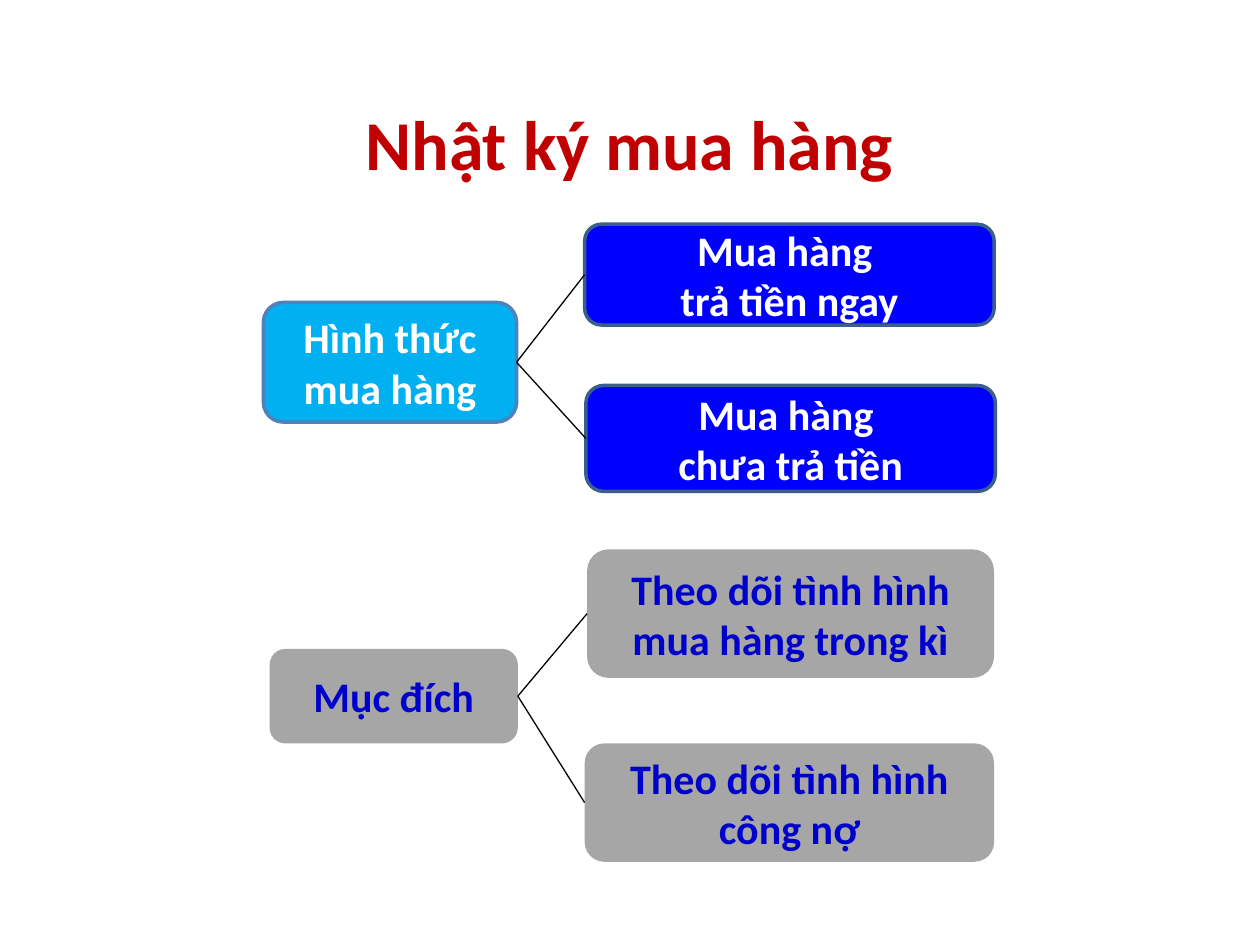
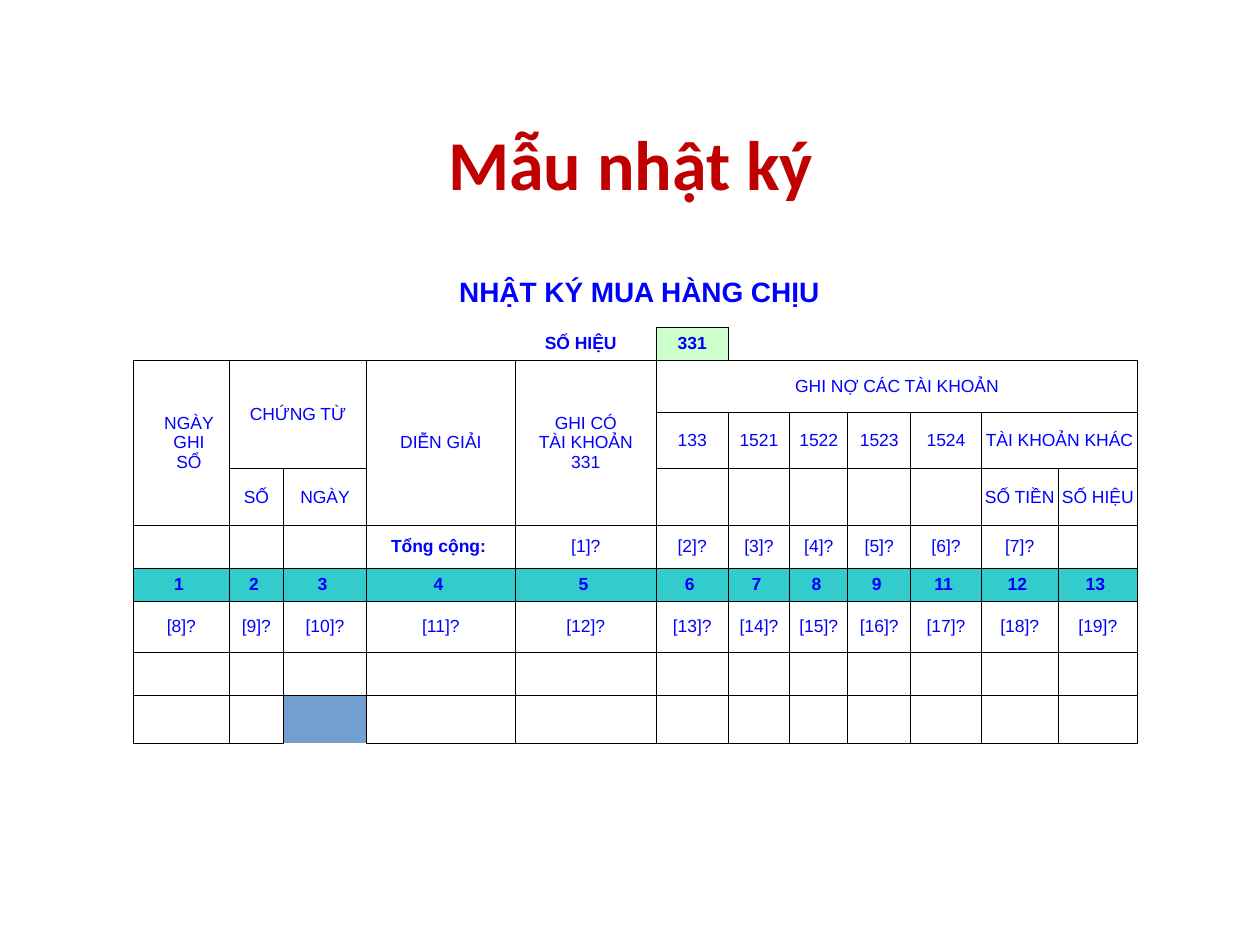
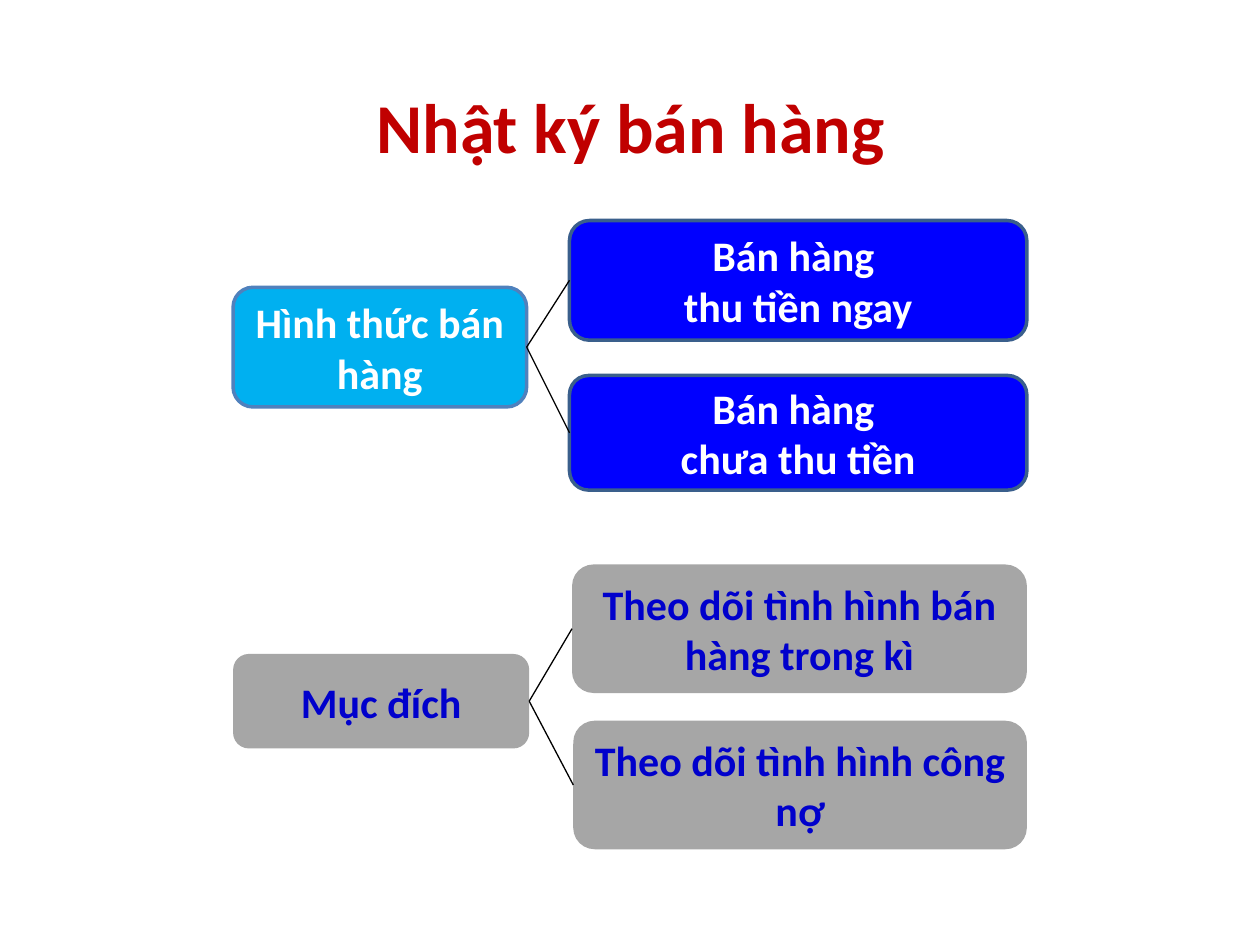
from lxml import etree
from pptx import Presentation
from pptx.dml.color import RGBColor
from pptx.enum import shapes, text
from pptx.oxml import ns
from pptx.util import Inches, Pt

RED = RGBColor(0xC0, 0x00, 0x00)
WHITE = RGBColor(0xFF, 0xFF, 0xFF)
BLACK = RGBColor(0x00, 0x00, 0x00)
BLUE = RGBColor(0x00, 0x00, 0xFF)
NAVY = RGBColor(0x00, 0x00, 0xCC)
SKY = RGBColor(0x00, 0xB0, 0xF0)
GRAY = RGBColor(0xA6, 0xA6, 0xA6)
SKY_EDGE = RGBColor(0x4F, 0x81, 0xBD)
BLUE_EDGE = RGBColor(0x3A, 0x5F, 0x8C)
GREEN = RGBColor(0xCC, 0xFF, 0xCC)
TEAL = RGBColor(0x33, 0xCC, 0xCC)

# Box styles: fill, outline, font colour
ROOT = (SKY, SKY_EDGE, WHITE)
METHOD = (BLUE, BLUE_EDGE, WHITE)
PURPOSE = (GRAY, None, NAVY)

presentation = Presentation()
presentation.slide_width = Inches(10)
presentation.slide_height = Inches(7.5)


def style_text(text_frame, font_name, size, bold, color):
    for paragraph in text_frame.paragraphs:
        paragraph.alignment = text.PP_ALIGN.CENTER
        for run in paragraph.runs:
            run.font.name = font_name
            run.font.size = Pt(size)
            run.font.bold = bold
            run.font.color.rgb = color


def add_box(slide, place, words, style):
    fill, edge, font_color = style
    shape = slide.shapes.add_shape(shapes.MSO_SHAPE.ROUNDED_RECTANGLE, *map(Inches, place))
    shape.shadow.inherit = False
    shape.fill.solid()
    shape.fill.fore_color.rgb = fill
    if edge:
        shape.line.color.rgb = edge
        shape.line.width = Pt(2)
    else:
        shape.line.fill.background()
    shape.text_frame.text = words
    shape.text_frame.vertical_anchor = text.MSO_ANCHOR.MIDDLE
    style_text(shape.text_frame, "Calibri", 24, True, font_color)
    return shape


# Slides with their titles
TITLES = [
    ("Nhật ký mua hàng", (1.06, 0.64, 7.87, 1.06)),
    ("Mẫu nhật ký", (0.28, 0.8, 9.45, 1.06)),
    ("Nhật ký bán hàng", (0.28, 0.51, 9.45, 1.06)),
]
slides = []
for words, place in TITLES:
    slide = presentation.slides.add_slide(presentation.slide_layouts[5])
    title = slide.shapes.title
    title.left, title.top, title.width, title.height = map(Inches, place)
    frame = title.text_frame
    frame.text = words
    frame.word_wrap = True
    frame.auto_size = text.MSO_AUTO_SIZE.NONE
    frame.vertical_anchor = text.MSO_ANCHOR.MIDDLE
    frame.margin_left = frame.margin_right = Inches(0.04)
    frame.margin_top = frame.margin_bottom = Inches(0.04)
    frame.paragraphs[0].line_spacing = 0.9
    style_text(frame, "Calibri", 40, True, RED)
    slides.append(slide)
purchase_slide, journal_slide, sales_slide = slides

# Trees: slide, root box, root style, branch style, branch boxes
TREES = [
    (purchase_slide, ((2.09, 2.4, 2.01, 0.95), "Hình thức mua hàng"), ROOT, METHOD, [
        ((4.64, 1.78, 3.25, 0.8), "Mua hàng \ntrả tiền ngay"),
        ((4.65, 3.06, 3.25, 0.84), "Mua hàng \nchưa trả tiền")]),
    (purchase_slide, ((2.14, 5.15, 1.97, 0.75), "Mục đích"), PURPOSE, PURPOSE, [
        ((4.66, 4.36, 3.23, 1.02), "Theo dõi tình hình mua hàng trong kì"),
        ((4.64, 5.9, 3.25, 0.94), "Theo dõi tình hình công nợ")]),
    (sales_slide, ((1.85, 2.28, 2.33, 0.95), "Hình thức bán hàng"), ROOT, METHOD, [
        ((4.52, 1.75, 3.63, 0.95), "Bán hàng \nthu tiền ngay"),
        ((4.52, 2.98, 3.63, 0.91), "Bán hàng \nchưa thu tiền")]),
    (sales_slide, ((1.85, 5.19, 2.35, 0.75), "Mục đích"), PURPOSE, PURPOSE, [
        ((4.54, 4.48, 3.61, 1.02), "Theo dõi tình hình bán hàng trong kì"),
        ((4.55, 5.72, 3.6, 1.02), "Theo dõi tình hình công nợ")]),
]
for slide, root, root_style, branch_style, branches in TREES:
    root_box = add_box(slide, *root, root_style)
    for branch in branches:
        branch_box = add_box(slide, *branch, branch_style)
        connector = slide.shapes.add_connector(
            shapes.MSO_CONNECTOR.STRAIGHT,
            root_box.left + root_box.width, root_box.top + root_box.height // 2,
            branch_box.left, branch_box.top + branch_box.height // 2)
        connector.line.color.rgb = BLACK
        connector.line.width = Pt(0.75)
        etree.SubElement(connector._element.spPr, ns.qn("a:effectLst"))

# Purchase journal table
COLUMN_WIDTHS = [0.76, 0.29, 0.14, 0.66, 1.18, 1.12, 0.57, 0.49, 0.46, 0.5, 0.56, 0.61, 0.63]
ROW_HEIGHTS = [0.56, 0.26, 0.41, 0.45, 0.45, 0.34, 0.26, 0.41, 0.34, 0.35]
CODE_ROW, CODE_COLUMN, NUMBER_ROW = 1, 6, 6
CELL_ROWS = {
    0: [" NHẬT KÝ MUA HÀNG CHỊU"],
    1: ["", "", "", "", "", "SỐ HIỆU", "331"],
    2: ["NGÀY\nGHI\nSỔ", "CHỨNG TỪ", "", "", "DIỄN GIẢI", "GHI CÓ\nTÀI KHOẢN\n331",
        "GHI NỢ CÁC TÀI KHOẢN"],
    3: ["", "", "", "", "", "", "133", "1521", "1522", "1523", "1524", "TÀI KHOẢN KHÁC"],
    4: ["", "SỐ", "", "NGÀY", "", "", "", "", "", "", "", "SỐ TIỀN", "SỐ HIỆU"],
    5: ["", "", "", "", "Tổng cộng: "] + [f"[{n}]?" for n in range(1, 8)],
    6: ["1 ", "2 ", ""] + [f"{n} " for n in (3, 4, 5, 6, 7, 8, 9, 11, 12, 13)],
    7: ["[8]?", "[9]?", ""] + [f"[{n}]?" for n in range(10, 20)],
}
# Merged areas: first row, first column, last row, last column
MERGES = [(0, 0, 0, 12), (2, 0, 4, 0), (2, 1, 3, 3), (2, 4, 4, 4), (2, 5, 4, 5),
          (2, 6, 2, 12), (3, 11, 3, 12)]
MERGES += [(row, 1, row, 2) for row in (1, 4, 5, 6, 7, 8, 9)]

table = journal_slide.shapes.add_table(
    len(ROW_HEIGHTS), len(COLUMN_WIDTHS), Inches(1.06), Inches(2.04),
    Inches(sum(COLUMN_WIDTHS)), Inches(sum(ROW_HEIGHTS))).table
table.first_row = table.horz_banding = False
for column, width in zip(table.columns, COLUMN_WIDTHS):
    column.width = Inches(width)
for row, height in zip(table.rows, ROW_HEIGHTS):
    row.height = Inches(height)

for r in range(len(ROW_HEIGHTS)):
    words = CELL_ROWS.get(r, [])
    for c in range(len(COLUMN_WIDTHS)):
        cell = table.cell(r, c)
        is_code = (r, c) == (CODE_ROW, CODE_COLUMN)

        # Borders: the header rows stay open except around the account code
        if r > CODE_ROW or is_code:
            sides = "LRTB"
        elif r == CODE_ROW:
            sides = {CODE_COLUMN - 1: "RB", CODE_COLUMN + 1: "LB"}.get(c, "B")
        else:
            sides = "B" if c == CODE_COLUMN else ""
        properties = cell._tc.get_or_add_tcPr()
        for side in "LRTB":
            width = Pt(1) if is_code and side == "T" else Pt(0.5)
            border = etree.SubElement(properties, ns.qn(f"a:ln{side}"), w=str(width))
            if side in sides:
                fill = etree.SubElement(border, ns.qn("a:solidFill"))
                etree.SubElement(fill, ns.qn("a:srgbClr"), val=str(BLACK))
            else:
                etree.SubElement(border, ns.qn("a:noFill"))

        # Fill
        if is_code or r == NUMBER_ROW:
            cell.fill.solid()
            cell.fill.fore_color.rgb = GREEN if is_code else TEAL
        else:
            cell.fill.background()

        # Text
        cell.margin_left = cell.margin_right = cell.margin_top = cell.margin_bottom = 0
        cell.vertical_anchor = text.MSO_ANCHOR.MIDDLE
        if c < len(words) and words[c]:
            cell.text_frame.text = words[c]
            bold = r in (0, CODE_ROW, NUMBER_ROW) or words[c].startswith("Tổng")
            style_text(cell.text_frame, "Arial", 16 if r == 0 else 10, bold, BLUE)
        else:
            etree.SubElement(cell.text_frame.paragraphs[0]._p, ns.qn("a:endParaRPr"), sz="1000")

table.cell(CODE_ROW, CODE_COLUMN - 1).margin_right = Inches(0.08)
table.cell(2, 0).margin_left = Inches(0.12)
for top, left, bottom, right in MERGES:
    table.cell(top, left).merge(table.cell(bottom, right))

presentation.save("out.pptx")
